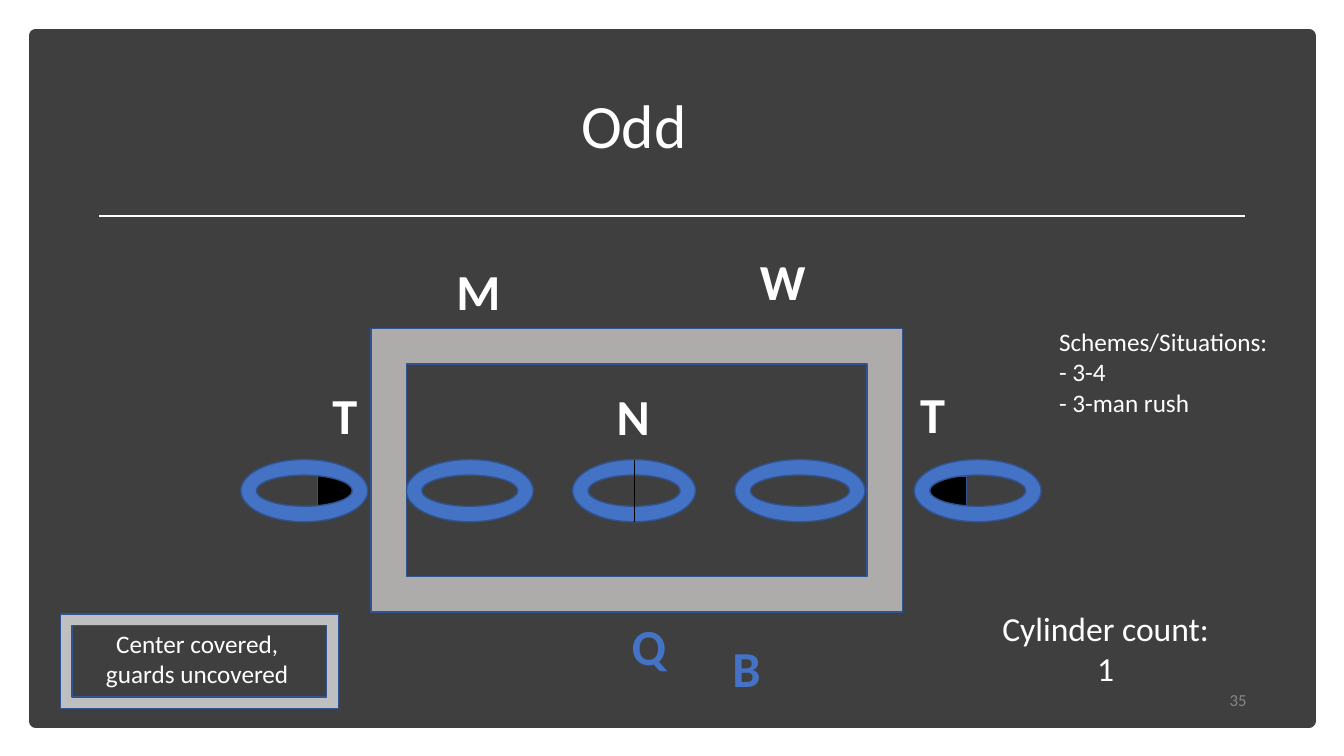
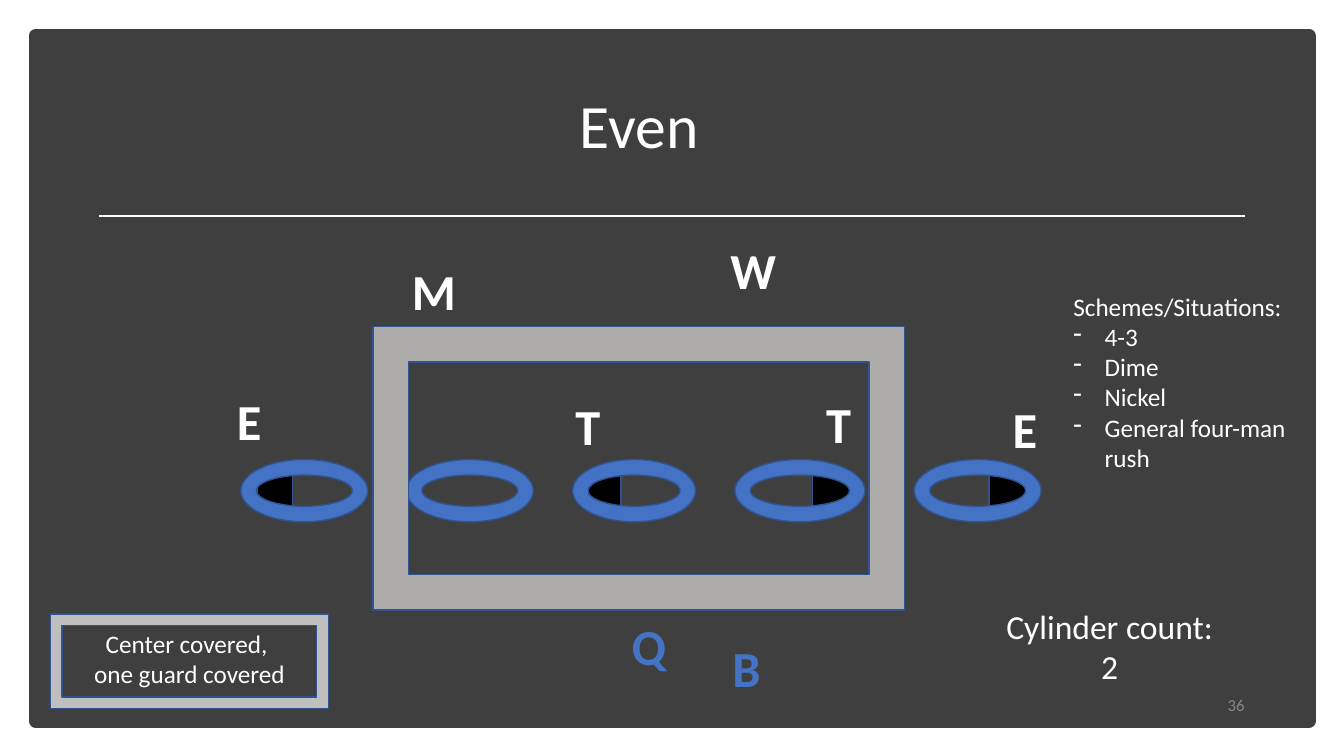
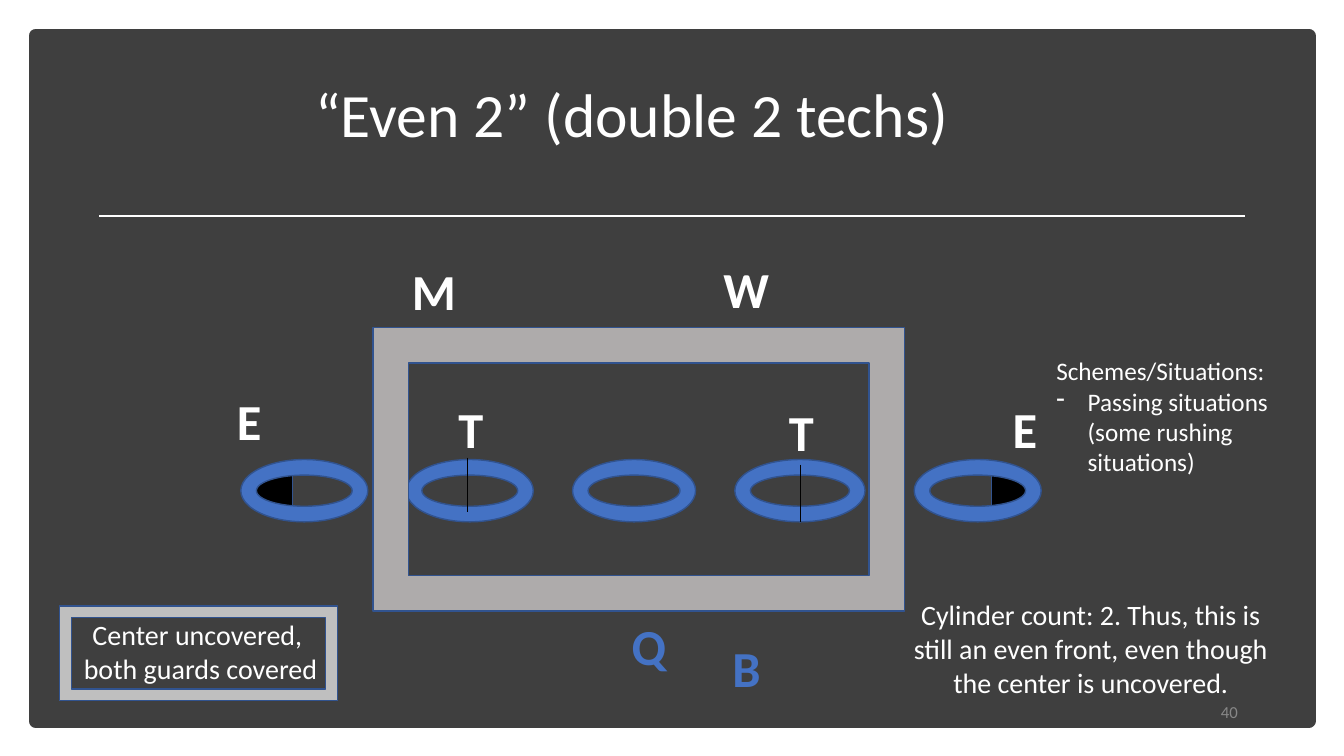
from dataclasses import dataclass
from typing import NamedTuple

from lxml.etree import SubElement
from pptx import Presentation
from pptx.dml.color import RGBColor
from pptx.enum.shapes import MSO_CONNECTOR as Link, MSO_SHAPE as Kind
from pptx.enum.text import MSO_ANCHOR as Anchor, MSO_AUTO_SIZE as Fit, PP_ALIGN as Align
from pptx.oxml.ns import qn
from pptx.util import Cm, Pt

FONT = "Calibri"
WHITE, BLACK, GREY = "FFFFFF", "000000", "888888"
DARK, BLUE, EDGE = "3F3F3F", "4472C4", "31538F"
STEEL, SILVER = "AEABAB", "BFBFBF"


class Box(NamedTuple):
    """Left, top, width and height in centimetres."""
    x: float
    y: float
    w: float
    h: float


class Mark(NamedTuple):
    """A player's letter and the corner of its box."""
    text: str
    x: float
    y: float
    color: str = WHITE


class Seam(NamedTuple):
    """An upright line through a lineman."""
    x: float
    top: float
    end: float


class Note(NamedTuple):
    box: Box
    size: int
    lines: list[str]


@dataclass
class Front:
    """One defensive front; schemes starting with a tab are bulleted."""
    title: str
    head: tuple[float, float]
    fills: list[Box]
    marks: list[Mark]
    seams: list[Seam]
    frame: tuple[float, float]
    cue: Note
    rim: tuple[float, float]
    count: Note
    schemes: Note
    page: str
    foot: tuple[float, float]


BACK = Box(0.9, 0.9, 32.08, 17.27)
RULE_Y, RULE_X1, RULE_X2 = 5.44, 2.5, 31.37
LINE_Y, LINE_H = 11.58, 1.57
LINEMEN = [(6.07, 3.2), (10.24, 3.2), (14.43, 3.1), (18.52, 3.28), (23.04, 3.2)]
BACKS = [Mark("Q", 15.67, 15.37, BLUE), Mark("B", 18.21, 15.93, BLUE)]
ENDS = [Mark("E", 25.27, 9.91), Mark("E", 5.72, 9.7)]
MIKE = Mark("M", 10.13, 6.43)
TOPIC = "Schemes/Situations:"

FRONTS = [
    Front(
        "Odd", (1.37, 1.4),
        [Box(23.32, 12.01, 1.04, 0.79), Box(8, 11.99, 1.04, 0.79)],
        [Mark("N", 15.29, 9.58), Mark("T", 8.13, 9.55), Mark("T", 22.94, 9.53),
         Mark("W", 18.9, 6.17), Mark("M", 11.25, 6.43)],
        [Seam(15.98, 11.58, 13.16)],
        (9.35, 8.28),
        Note(Box(2.29, 15.7, 5.36, 1.8), 18, ["Center covered, guards uncovered"]),
        (1.52, 15.47),
        Note(Box(24.79, 15.19, 6.15, 2.31), 24, ["Cylinder count: 1"]),
        Note(Box(26.44, 8.1, 7.09, 2.57), 18, [TOPIC, "- 3-4", "- 3-man rush"]),
        "35", (24.05, 17.12),
    ),
    Front(
        "Even", (1.5, 1.4),
        [Box(6.48, 11.94, 0.89, 0.94), Box(24.92, 11.89, 0.97, 0.99),
         Box(20.47, 11.89, 0.97, 0.99), Box(14.81, 11.89, 0.84, 0.99)],
        [Mark("T", 14.25, 9.83), Mark("T", 20.57, 9.78),
         Mark("W", 18.16, 5.89), MIKE, *ENDS],
        [],
        (9.4, 8.23),
        Note(Box(1.45, 15.7, 6.65, 1.8), 18, ["Center covered, ", "one guard covered"]),
        (1.27, 15.47),
        Note(Box(24.89, 15.14, 6.15, 2.31), 24, ["Cylinder count: 2"]),
        Note(Box(26.8, 7.21, 7.09, 5.64), 18,
             [TOPIC, "\t4-3", "\tDime", "\tNickel", "\tGeneral four-man rush"]),
        "36", (24, 17.25),
    ),
    Front(
        "“Even 2” (double 2 techs) ", (1.5, 1.12),
        [Box(24.99, 11.96, 0.99, 0.79), Box(6.38, 11.96, 0.99, 0.79)],
        [Mark("T", 11.3, 9.91), Mark("T", 19.63, 9.98),
         Mark("W", 17.98, 6.38), MIKE, *ENDS],
        [Seam(11.79, 11.53, 12.9), Seam(20.17, 11.71, 13.16)],
        (9.4, 8.26),
        Note(Box(0.99, 15.44, 8.13, 1.96), 20,
             ["Center uncovered, ", "both guards covered"]),
        (1.5, 15.27),
        Note(Box(22.56, 14.94, 9.86, 2.82), 20,
             ["Cylinder count: 2. Thus, this is still an even front, "
              "even though the center is uncovered."]),
        Note(Box(26.37, 8.84, 7.09, 4.11), 18,
             [TOPIC, "\tPassing situations (some rushing situations)"]),
        "40", (23.83, 17.42),
    ),
]


def paint(part, color: str) -> None:
    """Give a fill or a font one solid colour."""
    if hasattr(part, "solid"):
        part.solid()
        part.fore_color.rgb = RGBColor.from_string(color)
    else:
        part.color.rgb = RGBColor.from_string(color)


def shape(slide, kind: Kind, box: Box, fill: str, edge: str = EDGE, width: float = 1) -> None:
    item = slide.shapes.add_shape(kind, *map(Cm, box))
    item.shadow.inherit = False
    paint(item.fill, fill)
    paint(item.line.fill, edge)
    item.line.width = Pt(width)


def line(slide, x1: float, y1: float, x2: float, y2: float, color: str, width: float) -> None:
    item = slide.shapes.add_connector(Link.STRAIGHT, *map(Cm, (x1, y1, x2, y2)))
    paint(item.line.fill, color)
    item.line.width = Pt(width)
    SubElement(item._element.spPr, qn("a:effectLst"))


def bullet(para) -> None:
    """Hang the paragraph on a white dash."""
    props = para._p.get_or_add_pPr()
    props.set("marL", str(Cm(0.79)))
    props.set("indent", str(-Cm(0.79)))
    tint = SubElement(props, qn("a:buClr"))
    SubElement(tint, qn("a:srgbClr")).set("val", WHITE)
    SubElement(props, qn("a:buChar")).set("char", "-")


def text(slide, note: Note, color: str = WHITE, bold: bool = False,
         align: Align = Align.LEFT, middle: bool = False, space: float = 1) -> None:
    frame = slide.shapes.add_textbox(*map(Cm, note.box)).text_frame
    frame.word_wrap = True
    frame.auto_size = Fit.NONE if middle else Fit.SHAPE_TO_FIT_TEXT
    frame.vertical_anchor = Anchor.MIDDLE if middle else Anchor.TOP
    for i, words in enumerate(note.lines):
        para = frame.add_paragraph() if i else frame.paragraphs[0]
        para.alignment = align
        para.line_spacing = space
        if words.startswith("\t"):
            bullet(para)
        run = para.add_run()
        run.text = words.lstrip("\t")
        run.font.name = FONT
        run.font.size = Pt(note.size)
        run.font.bold = bold
        paint(run.font, color)


def draw(slide, front: Front) -> None:
    shape(slide, Kind.RECTANGLE, BACK, DARK, DARK, 10)
    line(slide, RULE_X1, RULE_Y, RULE_X2, RULE_Y, WHITE, 1.75)
    for box in front.fills:
        shape(slide, Kind.RECTANGLE, box, BLACK)
    text(slide, Note(Box(*front.head, 29.21, 3.68), 44, [front.title]),
         align=Align.CENTER, middle=True, space=0.9)
    for x, width in LINEMEN:
        shape(slide, Kind.DONUT, Box(x, LINE_Y, width, LINE_H), BLUE)
    for mark in front.marks + BACKS:
        text(slide, Note(Box(mark.x, mark.y, 3.3, 1.8), 36, [mark.text]),
             mark.color, bold=True)
    for seam in front.seams:
        line(slide, seam.x, seam.top, seam.x, seam.end, BLACK, 0.75)
    shape(slide, Kind.FRAME, Box(*front.frame, 13.39, 7.14), STEEL)
    text(slide, front.cue, align=Align.CENTER)
    text(slide, front.count, align=Align.CENTER)
    text(slide, front.schemes)
    shape(slide, Kind.FRAME, Box(*front.rim, 7.01, 2.39), SILVER)
    text(slide, Note(Box(*front.foot, 7.62, 1.02), 12, [front.page]),
         GREY, align=Align.RIGHT, middle=True)


def main() -> None:
    deck = Presentation()
    deck.slide_width, deck.slide_height = Cm(33.87), Cm(19.05)
    blank = deck.slide_layouts[6]
    for front in FRONTS:
        draw(deck.slides.add_slide(blank), front)
    deck.save("out.pptx")


if __name__ == "__main__":
    main()
